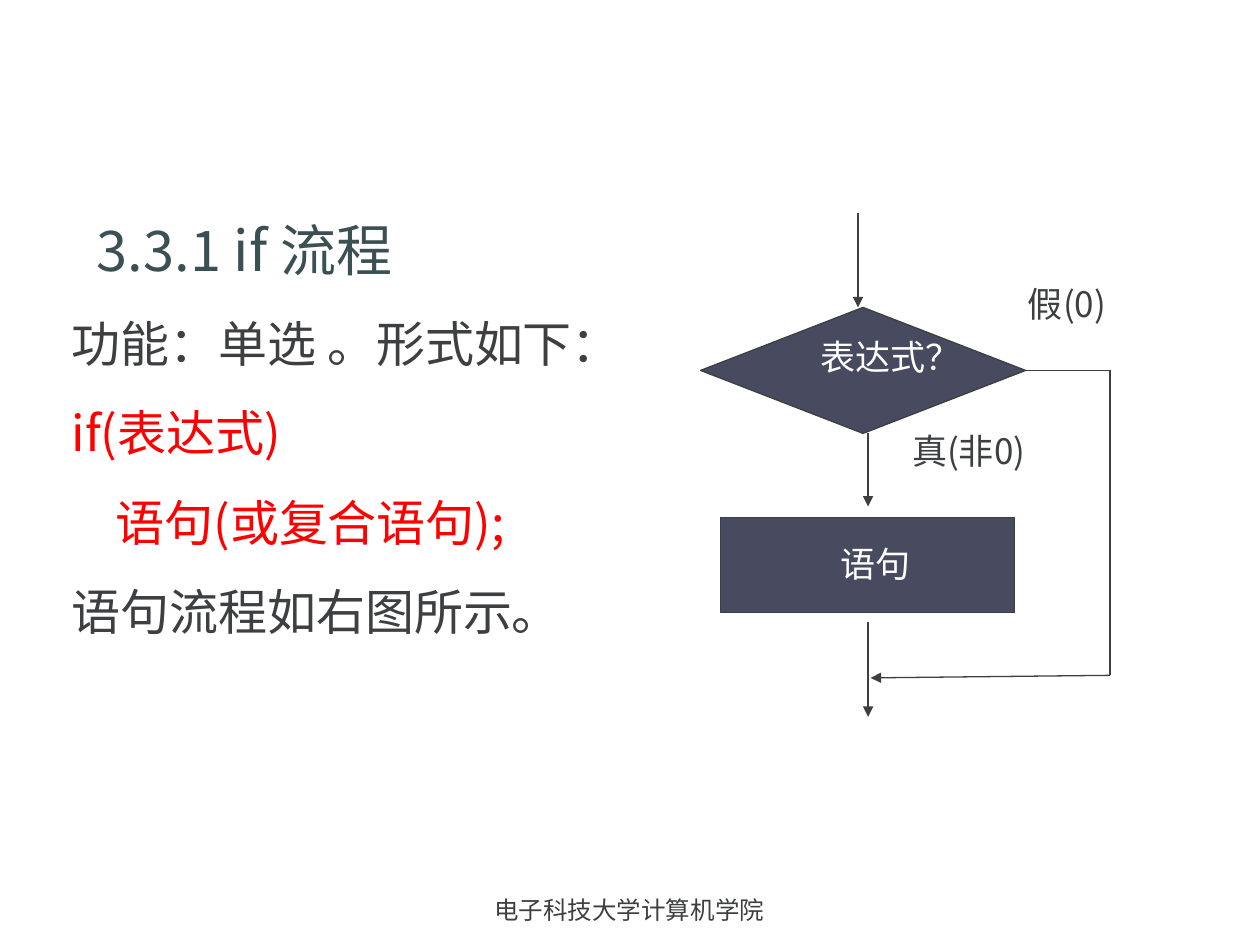
from lxml import etree
from pptx import Presentation
from pptx.dml.color import RGBColor
from pptx.enum.shapes import MSO_CONNECTOR, MSO_SHAPE
from pptx.enum.text import MSO_ANCHOR, PP_ALIGN
from pptx.oxml.ns import qn
from pptx.util import Inches, Pt

STRAIGHT = MSO_CONNECTOR.STRAIGHT
DECISION = MSO_SHAPE.FLOWCHART_DECISION
PROCESS = MSO_SHAPE.FLOWCHART_PROCESS
LEFT, CENTER = PP_ALIGN.LEFT, PP_ALIGN.CENTER
TOP, MIDDLE = MSO_ANCHOR.TOP, MSO_ANCHOR.MIDDLE
RIGHT_SIDE = 3
SANS, SERIF = "Noto Sans CJK SC", "Times New Roman"
COLORS = {
    "ink": "3D3F41",
    "title": "3B5053",
    "code": "FF0000",
    "node": "484A5F",
    "white": "FFFFFF",
}


def rgb(name):
    """Return the named palette colour."""
    return RGBColor.from_string(COLORS[name])


def format_paragraph(paragraph, size, color, font=SANS, align=LEFT):
    """Format the runs of a paragraph for Latin and Chinese text."""
    paragraph.alignment = align
    for run in paragraph.runs:
        run.font.size = Pt(size)
        run.font.name = font
        run.font.color.rgb = rgb(color)
        east_asian = etree.Element(qn("a:ea"), typeface=SANS)
        run.font._element.find(qn("a:latin")).addnext(east_asian)


def add_text_frame(slide, box, anchor=TOP):
    """Add a wrapping text box and return its frame."""
    frame = slide.shapes.add_textbox(*map(Inches, box)).text_frame
    frame.word_wrap = True
    frame.vertical_anchor = anchor
    return frame


def add_label(slide, box, text, size, color, font=SANS, align=LEFT, anchor=TOP):
    """Add a text box with a single paragraph."""
    frame = add_text_frame(slide, box, anchor)
    frame.text = text
    format_paragraph(frame.paragraphs[0], size, color, font, align)


def add_node(slide, kind, box):
    """Add a filled flowchart symbol."""
    node = slide.shapes.add_shape(kind, *map(Inches, box))
    node.shadow.inherit = False
    node.fill.solid()
    node.fill.fore_color.rgb = rgb("node")
    node.line.color.rgb = rgb("ink")
    node.line.width = Pt(0.75)
    return node


def add_flow(slide, start, end, arrow=True):
    """Add a flow line, with an arrowhead at its end if wanted."""
    flow = slide.shapes.add_connector(STRAIGHT, *map(Inches, (*start, *end)))
    flow.line.color.rgb = rgb("ink")
    flow.line.width = Pt(0.75)
    if arrow:
        etree.SubElement(flow.line._get_or_add_ln(), qn("a:tailEnd"), type="triangle")
    etree.SubElement(flow._element.spPr, qn("a:effectLst"))
    return flow


def add_explanation(slide, box):
    """Add the heading and the syntax of the if statement."""
    lines = [
        ("3.3.1 if 流程", 32, "title", 0.2),
        ("功能：单选 。形式如下：", 28, "ink", 0),
        ("if(表达式)", 28, "code", 0),
        ("语句(或复合语句);", 28, "code", 0.35),
        ("语句流程如右图所示。", 28, "ink", 0),
    ]
    frame = add_text_frame(slide, box)
    frame.text = "\n".join(line[0] for line in lines)
    for index, (paragraph, line) in enumerate(zip(frame.paragraphs, lines)):
        _, size, color, indent = line
        format_paragraph(paragraph, size, color)
        paragraph._p.get_or_add_pPr().set("marL", str(Inches(indent)))
        if index:
            paragraph.space_before = Pt(17.5)


def add_flowchart(slide, box):
    """Add the single-branch flowchart."""
    left, top, width, height = box

    def at(x, y, *size):
        return (left + x, top + y, *size)

    bottom = height
    axis, bypass = 1.33, 3.25
    condition_top, condition_middle, condition_bottom = 0.75, 1.25, 1.75
    merge = 3.67

    condition = add_node(slide, DECISION, at(0, condition_top, 2.58, 1))
    add_node(slide, PROCESS, at(0.16, 2.42, 2.33, 0.75))

    add_flow(slide, at(1.25, 0), at(1.25, condition_top))
    add_flow(slide, at(axis, condition_bottom), at(axis, 2.33))
    add_flow(slide, at(axis, 3.25), at(axis, bottom))
    false_branch = add_flow(
        slide, at(2.58, condition_middle), at(bypass, condition_middle), arrow=False
    )
    false_branch.begin_connect(condition, RIGHT_SIDE)
    add_flow(slide, at(bypass, condition_middle), at(bypass, merge), arrow=False)
    add_flow(slide, at(bypass, merge), at(1.35, 3.69))

    add_label(slide, at(0.74, 0.92, 1.26, 0.44), "表达式？", 20, "white", align=CENTER)
    add_label(slide, at(0.51, 2.57, 1.75, 0.44), "语句", 20, "white", align=CENTER)
    add_label(slide, at(1.58, 1.67, 1.5, 0.44), "真(非0)", 20, "ink")
    add_label(slide, at(width - 1.42, 0.5, 1.42, 0.44), "假(0)", 20, "ink")


def add_footer(slide, box):
    """Add the centred name of the school."""
    add_label(slide, box, "电子科技大学计算机学院", 14, "ink", SERIF, CENTER, MIDDLE)


def main():
    """Build and save the slide."""
    deck = Presentation()
    deck.slide_width, deck.slide_height = Inches(10), Inches(7.5)
    slide = deck.slides.add_slide(deck.slide_layouts[6])
    add_footer(slide, (3.31, 7.02, 3.37, 0.4))
    add_flowchart(slide, (5.56, 1.69, 3.92, 4))
    add_explanation(slide, (0.47, 1.66, 4.92, 3.48))
    deck.save("out.pptx")


if __name__ == "__main__":
    main()
